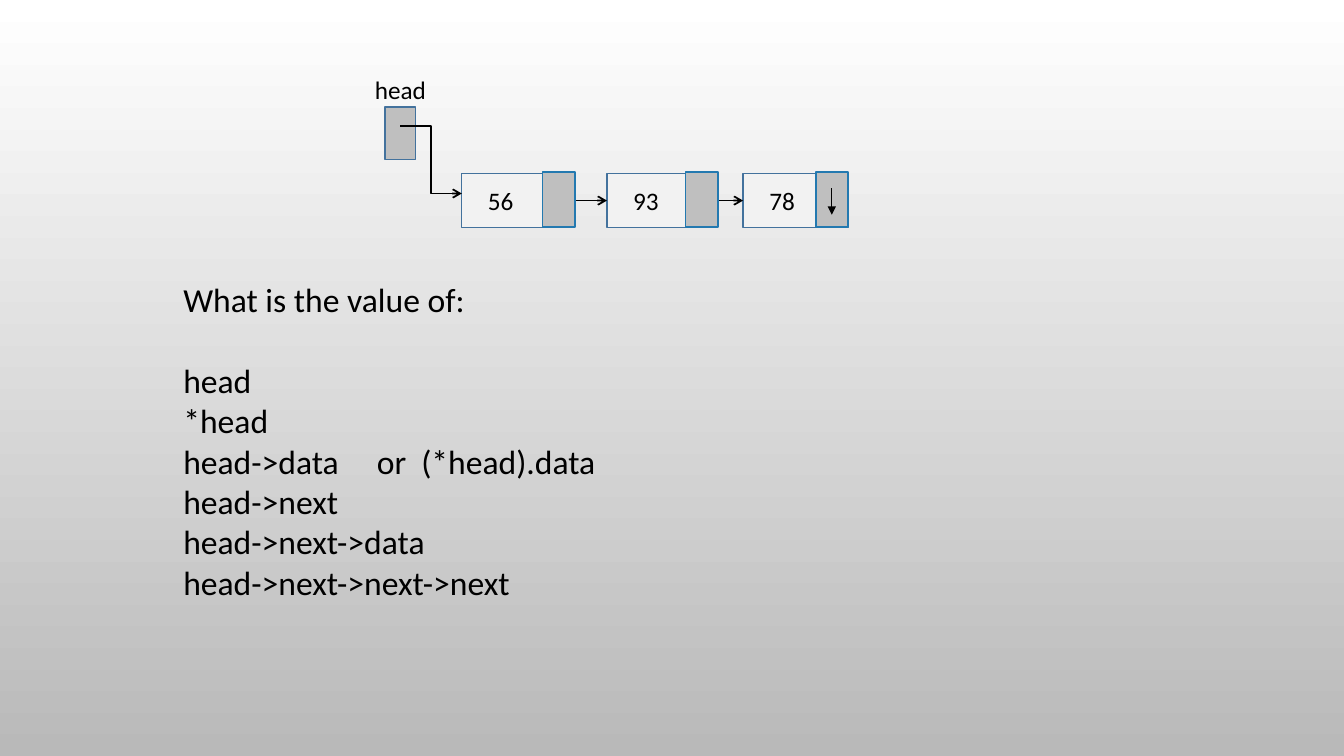
"""Build a slide that asks for the values reached through a linked list."""
from lxml.etree import SubElement
from pptx import Presentation
from pptx.dml.color import RGBColor
from pptx.enum.shapes import MSO_CONNECTOR as Connector, MSO_SHAPE as Shape
from pptx.enum.text import MSO_ANCHOR as Anchor, PP_ALIGN as Align
from pptx.oxml.ns import qn
from pptx.util import Inches, Pt

BLACK = RGBColor(0x00, 0x00, 0x00)
WHITE = RGBColor(0xFF, 0xFF, 0xFF)
BACKGROUND_GRAY = RGBColor(0xB9, 0xB9, 0xB9)
NODE_GRAY = RGBColor(0xF2, 0xF2, 0xF2)
POINTER_GRAY = RGBColor(0xBF, 0xBF, 0xBF)
NODE_BLUE = RGBColor(0x43, 0x72, 0x9D)
POINTER_BLUE = RGBColor(0x23, 0x79, 0xB0)

NODES = [("56", 4.58, 5.38), ("93", 6.02, 6.8), ("78", 7.37, 8.09)]
NODE_TOP, NODE_WIDTH, NODE_HEIGHT = 1.72, 1.04, 0.54
POINTER_TOP, POINTER_WIDTH = 1.71, 0.32
LINK_Y = 1.99

QUESTION = "What is the value of:"
EXPRESSIONS = [
    "head",
    "*head",
    "head->data\tor\t(*head).data",
    "head->next",
    "head->next->data",
    "head->next->next->next",
]


def write(paragraph, text, size=18, color=BLACK, font="Calibri", after=0, tabs=()):
    paragraph.alignment = Align.LEFT
    paragraph.space_after = Pt(after)
    run = paragraph.add_run()
    run.text = text
    run.font.name = font
    run.font.size = Pt(size)
    run.font.color.rgb = color
    if tabs:
        tab_list = SubElement(paragraph._p.get_or_add_pPr(), qn("a:tabLst"))
        for position in tabs:
            SubElement(tab_list, qn("a:tab"), pos=str(Inches(position)), algn="l")


class ListSlide:
    def __init__(self, presentation):
        self.slide = presentation.slides.add_slide(presentation.slide_layouts[6])
        self.shapes = self.slide.shapes

    def background(self, top_color, bottom_color):
        fill = self.slide.background.fill
        fill.gradient()
        fill.gradient_angle = 270
        for stop, color, position in zip(
            fill.gradient_stops, (top_color, bottom_color), (0, 1)
        ):
            stop.color.rgb = color
            stop.position = position

    def text(self, left, top, width, height, wrap=True):
        box = self.shapes.add_textbox(
            Inches(left), Inches(top), Inches(width), Inches(height)
        )
        box.text_frame.word_wrap = wrap
        return box.text_frame

    def box(self, left, top, width, height, fill, line, weight):
        shape = self.shapes.add_shape(
            Shape.RECTANGLE, Inches(left), Inches(top), Inches(width), Inches(height)
        )
        shape.shadow.inherit = False
        shape.fill.solid()
        shape.fill.fore_color.rgb = fill
        shape.line.color.rgb = line
        shape.line.width = Pt(weight)
        return shape

    def node(self, value, left):
        shape = self.box(
            left, NODE_TOP, NODE_WIDTH, NODE_HEIGHT, NODE_GRAY, NODE_BLUE, 1
        )
        frame = shape.text_frame
        frame.vertical_anchor = Anchor.MIDDLE
        frame.margin_left = Inches(0.26)
        write(frame.paragraphs[0], value)

    def arrow(self, start, end, kind=Connector.STRAIGHT, weight=1.25, head="arrow"):
        connector = self.shapes.add_connector(
            kind, *(Inches(value) for value in (*start, *end))
        )
        connector.line.color.rgb = BLACK
        connector.line.width = Pt(weight)
        SubElement(connector.line._get_or_add_ln(), qn("a:tailEnd"), type=head)
        SubElement(connector._element.spPr, qn("a:effectLst"))


def main():
    presentation = Presentation()
    presentation.slide_width = Inches(13.33)
    presentation.slide_height = Inches(7.5)
    page = ListSlide(presentation)
    page.background(WHITE, BACKGROUND_GRAY)

    head_label = page.text(3.62, 0.69, 0.71, 0.41, wrap=False)
    write(head_label.paragraphs[0], "head")
    page.box(3.82, 1.06, 0.3, 0.52, POINTER_GRAY, NODE_BLUE, 1)

    for value, left, _ in NODES:
        page.node(value, left)
    for (_, _, pointer_left), (_, next_left, _) in zip(NODES, NODES[1:]):
        page.arrow((pointer_left + POINTER_WIDTH / 2, LINK_Y), (next_left, LINK_Y))
    page.arrow((3.97, 1.25), (4.58, 1.92), kind=Connector.ELBOW)
    for _, _, left in NODES:
        page.box(left, POINTER_TOP, POINTER_WIDTH, NODE_HEIGHT,
                 POINTER_GRAY, POINTER_BLUE, 1.25)
    page.arrow((8.25, 1.87), (8.25, 2.13), weight=0.75, head="triangle")

    questions = page.text(1.72, 2.72, 4.82, 3.64)
    write(questions.paragraphs[0], QUESTION, size=24, after=29)
    for expression in EXPRESSIONS:
        tabs = (1.92, 2.36) if "\t" in expression else ()
        write(questions.add_paragraph(), expression, size=24, tabs=tabs)

    presentation.save("out.pptx")


if __name__ == "__main__":
    main()
